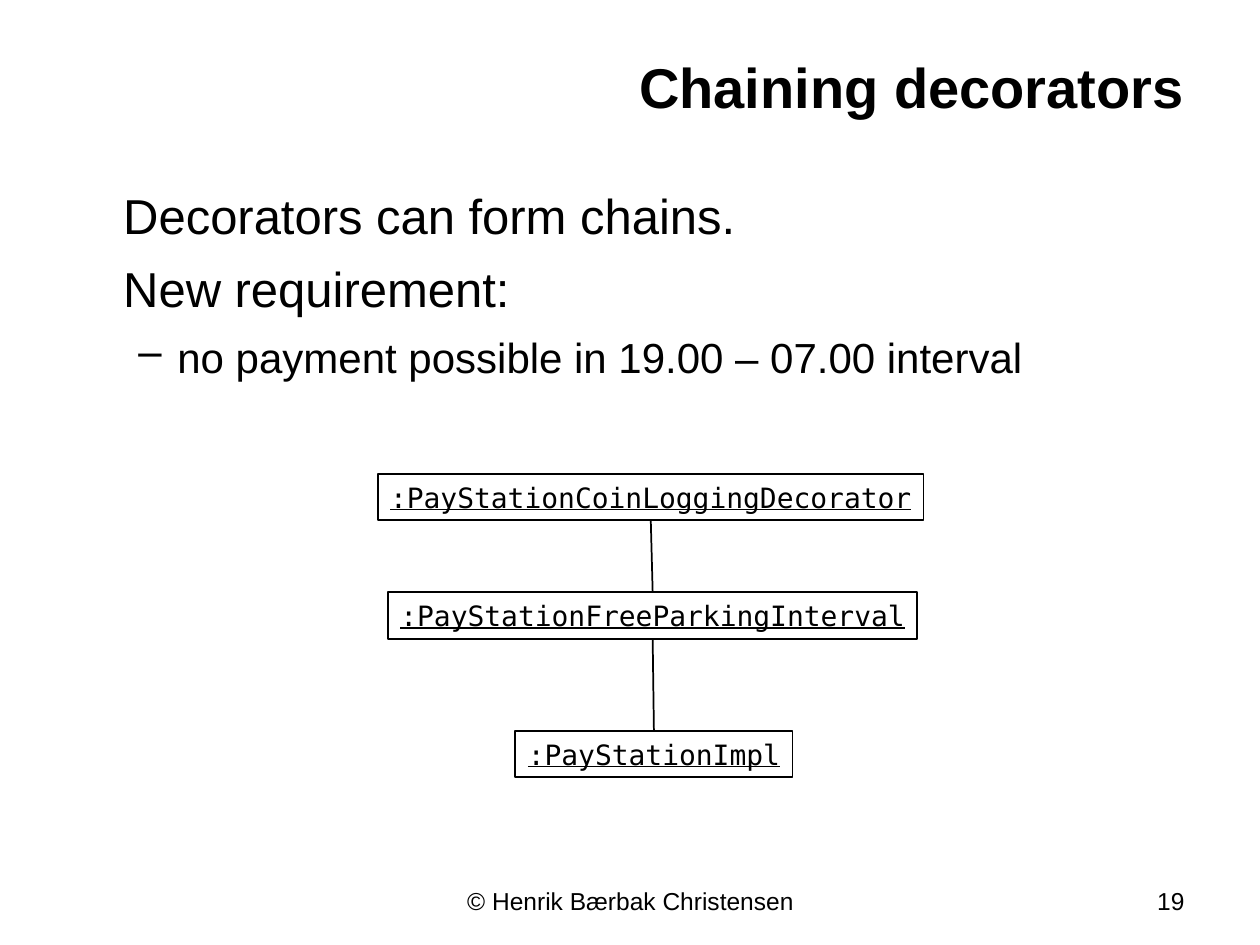
from lxml import etree
from pptx import Presentation
from pptx.dml.color import RGBColor
from pptx.enum import shapes, text
from pptx.oxml.ns import qn
from pptx.util import Inches, Pt

COLORS = {"ink": "000000", "paper": "FFFFFF"}
SANS, MONO = "Arial", "DejaVu Sans Mono"
LEFT, CENTER, RIGHT = text.PP_ALIGN.LEFT, text.PP_ALIGN.CENTER, text.PP_ALIGN.RIGHT
TOP, MIDDLE = text.MSO_ANCHOR.TOP, text.MSO_ANCHOR.MIDDLE

TITLE = "Chaining decorators"
BODY = [
    ("Decorators can form chains.", dict(size=28, margin=0.38)),
    ("New requirement:", dict(size=28, margin=0.38, before=8.5)),
    ("no payment possible in 19.00 – 07.00 interval",
     dict(size=24, margin=0.81, hanging=0.31, bullet="–", before=8, level=1)),
]
FOOTERS = [
    ("© Henrik Bærbak Christensen", (3.42, 6.98, 3.17, 0.37), CENTER),
    ("19", (7.17, 6.98, 2.33, 0.37), RIGHT),
]
BOX_HEIGHT = 0.37
CHAIN = [
    (":PayStationCoinLoggingDecorator", 3, 3.76, 4.33),
    (":PayStationFreeParkingInterval", 3.08, 4.7, 4.2),
    (":PayStationImpl", 4.09, 5.8, 2.2),
]


def color(name):
    return RGBColor.from_string(COLORS[name])


def write(paragraph, content, size, font=SANS, align=LEFT, bold=False, underline=False,
          margin=0, hanging=0, bullet=None, before=0, level=0):
    paragraph.level = level
    properties = paragraph._p.get_or_add_pPr()
    properties.set("marL", str(Inches(margin)))
    properties.set("indent", str(-Inches(hanging)))
    if bullet:
        etree.SubElement(properties, qn("a:buChar"), char=bullet)
    else:
        etree.SubElement(properties, qn("a:buNone"))
    paragraph.alignment = align
    paragraph.space_before = Pt(before)
    run = paragraph.add_run()
    run.text = content
    run.font.name = font
    run.font.size = Pt(size)
    run.font.bold = bold
    run.font.underline = underline
    run.font.color.rgb = color("ink")


def prepare(shape, anchor=TOP, wrap=True):
    frame = shape.text_frame
    frame.word_wrap = wrap
    frame.auto_size = text.MSO_AUTO_SIZE.NONE
    frame.vertical_anchor = anchor
    return frame


def add_text_box(slide, place):
    return prepare(slide.shapes.add_textbox(*map(Inches, place)))


def add_object(slide, name, left, top, width):
    shape = slide.shapes.add_shape(
        shapes.MSO_SHAPE.RECTANGLE, *map(Inches, (left, top, width, BOX_HEIGHT)))
    shape.shadow.inherit = False
    shape.fill.background()
    shape.line.color.rgb = color("ink")
    shape.line.width = Pt(1)
    frame = prepare(shape, MIDDLE, wrap=False)
    write(frame.paragraphs[0], name, size=16, font=MONO, align=CENTER, underline=True)
    return shape


def connect(slide, upper, lower):
    line = slide.shapes.add_connector(shapes.MSO_CONNECTOR.STRAIGHT, 0, 0, 0, 0)
    line.begin_connect(upper, 2)
    line.end_connect(lower, 0)
    line.line.color.rgb = color("ink")
    line.line.width = Pt(1)
    etree.SubElement(line._element.spPr, qn("a:effectLst"))


def main():
    presentation = Presentation()
    presentation.slide_width, presentation.slide_height = Inches(10), Inches(7.5)
    slide = presentation.slides.add_slide(presentation.slide_layouts[5])
    slide.background.fill.solid()
    slide.background.fill.fore_color.rgb = color("paper")

    title = slide.shapes.title
    title.left, title.top, title.width, title.height = map(Inches, (0.5, 0.3, 9, 0.77))
    write(prepare(title, MIDDLE).paragraphs[0], TITLE, size=32, align=RIGHT, bold=True)

    body = add_text_box(slide, (0.5, 1.42, 9, 5.42))
    for index, (content, style) in enumerate(BODY):
        paragraph = body.add_paragraph() if index else body.paragraphs[0]
        write(paragraph, content, **style)

    for content, place, align in FOOTERS:
        write(add_text_box(slide, place).paragraphs[0], content, size=14, align=align)

    boxes = [add_object(slide, *item) for item in CHAIN]
    for upper, lower in zip(boxes, boxes[1:]):
        connect(slide, upper, lower)

    presentation.save("out.pptx")


if __name__ == "__main__":
    main()
